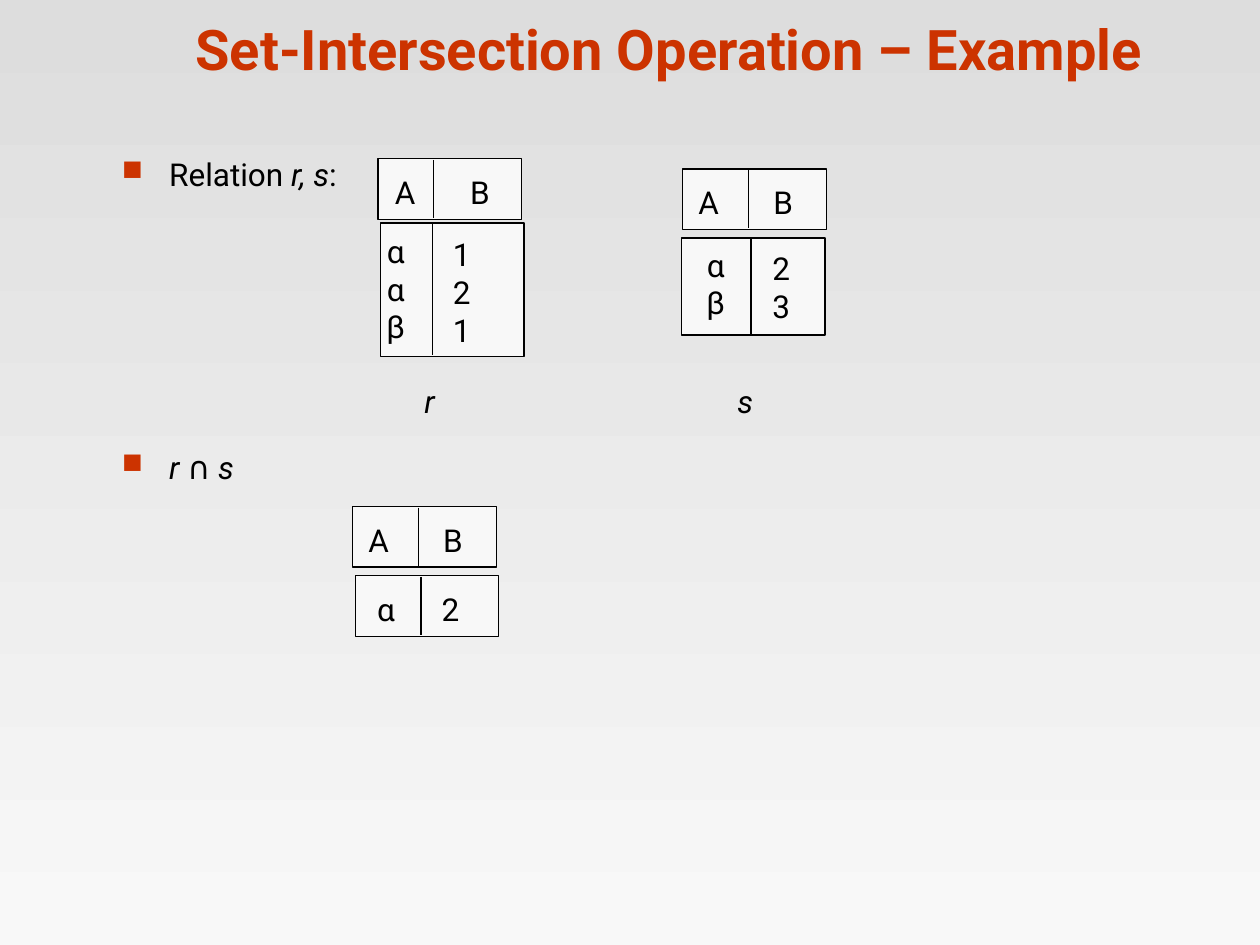
from pptx import Presentation
from pptx.dml.color import RGBColor
from pptx.enum.shapes import MSO_CONNECTOR, MSO_SHAPE
from pptx.enum.text import MSO_ANCHOR, PP_ALIGN
from pptx.oxml.ns import qn
from pptx.util import Pt
from lxml.etree import SubElement

COLORS = {"accent": "CC3300", "ink": "000000", "cell": "F8F8F8", "top": "DDDDDD"}


def color(name):
    return RGBColor.from_string(COLORS[name])


def add_span(para, text, size=18, fill="ink", bold=False, italic=False):
    span = para.add_run()
    span.text = text
    span.font.name = "Roboto"
    span.font.size = Pt(size)
    span.font.bold = bold
    span.font.italic = italic
    span.font.color.rgb = color(fill)


class RelationSlide:
    """Draws titles, bullets and small relation tables on one slide."""

    grid_width = 82
    head_height = 34.6

    def __init__(self, deck):
        self.page = deck.slides.add_slide(deck.slide_layouts[6])
        fill = self.page.background.fill
        fill.gradient()
        fill.gradient_angle = 270
        for stop, position, name in zip(fill.gradient_stops, (0, 1), ("top", "cell")):
            stop.position = position
            stop.color.rgb = color(name)

    def text_frame(self, left, top, width, height, wrap=True):
        box = self.page.shapes.add_textbox(Pt(left), Pt(top), Pt(width), Pt(height))
        box.text_frame.word_wrap = wrap
        return box.text_frame

    def title(self, text):
        frame = self.text_frame(64.8, 2.2, 635.8, 48.2)
        frame.vertical_anchor = MSO_ANCHOR.BOTTOM
        para = frame.paragraphs[0]
        para.alignment = PP_ALIGN.CENTER
        add_span(para, text, size=32, fill="accent", bold=True)

    def bullet(self, top, spans):
        para = self.text_frame(62.6, top, 150, 29).paragraphs[0]
        props = para._p.get_or_add_pPr()
        props.set("marL", str(Pt(27)))
        props.set("indent", str(Pt(-27)))
        tint = SubElement(props, qn("a:buClr"))
        SubElement(tint, qn("a:srgbClr"), val=COLORS["accent"])
        SubElement(props, qn("a:buSzPct"), val="90000")
        SubElement(props, qn("a:buChar"), char="■")
        for text, italic in spans:
            add_span(para, text, italic=italic)

    def column(self, center, top, lines, italic=False):
        width = 36
        frame = self.text_frame(center - width / 2, top, width, 7.2 + 21.6 * len(lines), wrap=False)
        for index, text in enumerate(lines):
            para = frame.add_paragraph() if index else frame.paragraphs[0]
            para.alignment = PP_ALIGN.CENTER
            add_span(para, text, italic=italic)

    def divider(self, x, top, bottom):
        line = self.page.shapes.add_connector(MSO_CONNECTOR.STRAIGHT, Pt(x), Pt(top), Pt(x), Pt(bottom))
        line.line.color.rgb = color("ink")
        line.line.width = Pt(0.75)
        SubElement(line._element.spPr, qn("a:effectLst"))

    def grid(self, left, top, height, split, columns):
        frame = self.page.shapes.add_shape(
            MSO_SHAPE.RECTANGLE, Pt(left), Pt(top), Pt(self.grid_width), Pt(height))
        frame.shadow.inherit = False
        frame.fill.solid()
        frame.fill.fore_color.rgb = color("cell")
        frame.line.color.rgb = color("ink")
        frame.line.width = Pt(0.75)
        self.divider(left + split, top + 0.7, top + height - 0.7)
        for center, offset, lines in columns:
            self.column(left + center, top + offset, lines)

    def header(self, left, top, split, first, second):
        self.grid(left, top, self.head_height, split, [(first, 4.8, "A"), (second, 4.8, "B")])


def main():
    deck = Presentation()
    deck.slide_width, deck.slide_height = Pt(720), Pt(540)
    slide = RelationSlide(deck)
    slide.title("Set-Intersection Operation – Example")
    slide.bullet(85, [("Relation ", False), ("r, s", True), (":", False)])
    slide.bullet(252.4, [("r ", True), ("∩ ", False), ("s", True)])

    slide.header(216, 90.7, 31.7, 15.5, 58.3)
    slide.grid(217.4, 127.4, 76.3, 29.6, [(8.8, 1.5, "ααβ"), (46.5, 3.6, "121")])
    slide.header(390.2, 96.5, 37.5, 14.8, 57.3)
    slide.grid(389.5, 136.1, 55.4, 39.6, [(19.5, 0.7, "αβ"), (56.9, 2.9, "23")])
    slide.header(201.6, 289.4, 37.5, 14.8, 57.3)
    slide.grid(203, 329, slide.head_height, 37.5, [(17.6, 4.4, "α"), (54.4, 4.4, "2")])

    for center, name in ((245.5, "r"), (425.9, "s")):
        slide.column(center, 214.6, name, italic=True)
    deck.save("out.pptx")


if __name__ == "__main__":
    main()
